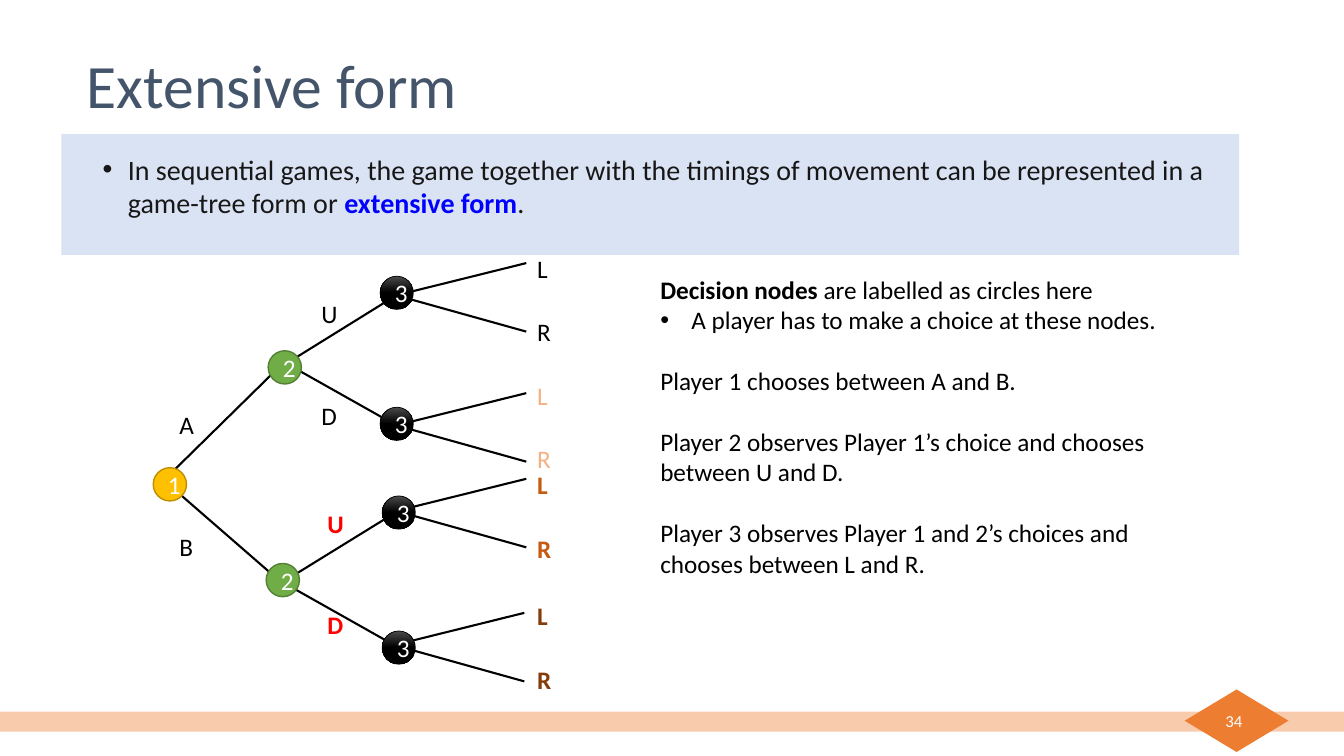
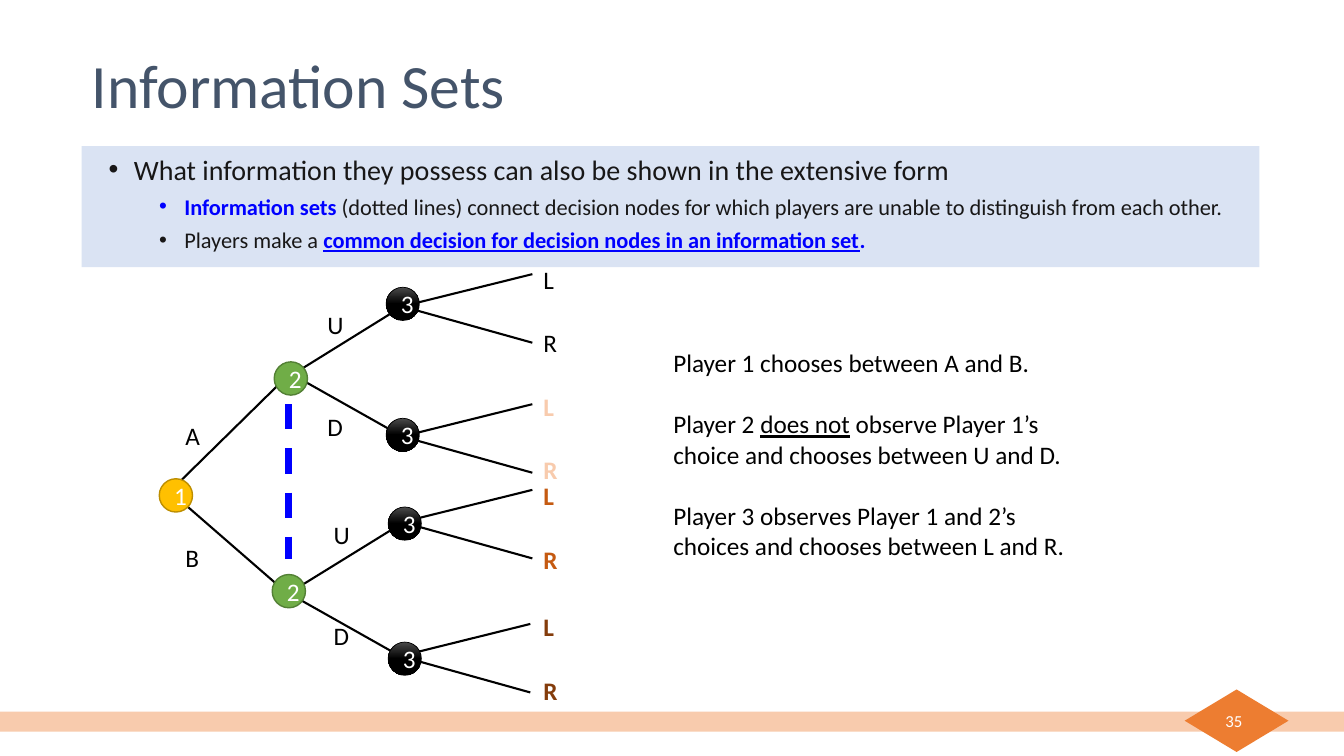
from dataclasses import dataclass

from lxml import etree
from pptx import Presentation
from pptx.dml.color import RGBColor
from pptx.enum.dml import MSO_LINE
from pptx.enum.shapes import MSO_CONNECTOR, MSO_SHAPE
from pptx.enum.text import MSO_ANCHOR, PP_ALIGN
from pptx.oxml.ns import qn
from pptx.util import Pt

RECTANGLE, DIAMOND, CIRCLE = MSO_SHAPE.RECTANGLE, MSO_SHAPE.DIAMOND, MSO_SHAPE.OVAL
STRAIGHT, DASH = MSO_CONNECTOR.STRAIGHT, MSO_LINE.DASH
MIDDLE, CENTER, RIGHT = MSO_ANCHOR.MIDDLE, PP_ALIGN.CENTER, PP_ALIGN.RIGHT

PX = 9144  # 100 px to the inch


@dataclass(frozen=True)
class Theme:
    font: str = "Calibri"
    title: str = "44546A"
    body: str = "181717"
    black: str = "000000"
    white: str = "FFFFFF"
    panel: str = "DAE3F3"
    band: str = "F8CBAD"
    badge: str = "ED7D31"
    key: str = "0000FF"
    highlight: str = "FF0000"
    gold: str = "FFC000"
    gold_edge: str = "BD8E00"
    green: str = "70AD47"
    green_edge: str = "538035"
    gloss: str = "4B4B4B"
    leaf_pale: str = "F4B183"
    leaf_mid: str = "C55A11"
    leaf_dark: str = "843C0B"
    title_size: int = 44
    lead_size: int = 20
    text_size: int = 18
    detail_size: int = 16
    page_size: int = 12
    blank_line: int = 22


THEME = Theme()


@dataclass(frozen=True)
class Span:
    text: str
    color: str | None = None
    bold: bool | None = None
    underline: bool | None = None


@dataclass(frozen=True)
class Line:
    """One paragraph; margin is the text indent in px, hang the bullet's."""
    spans: tuple
    size: int = THEME.text_size
    color: str = THEME.black
    before: int = 0
    margin: int = 0
    hang: int = 0


@dataclass(frozen=True)
class Ink:
    color: str = THEME.black
    bold: bool = False


PLAIN = Ink()

# Tree geometry in px, before it is shifted on a slide
NODE_SIZE = 33
ROOT = (152, 464)
SECOND_NODES = [(266, 348), (264, 559)]
THIRD_NODES = [(377, 274), (377, 404), (379, 492), (379, 626)]
FIRST_MOVES = [((162, 477), (277, 364)), ((162, 476), (277, 576))]
SECOND_MOVES = [((277, 365), (393, 293)), ((283, 360), (393, 422)),
                ((278, 579), (393, 508)), ((281, 578), (391, 640))]
THIRD_STARTS = [(393, 293), (393, 422), (393, 507), (391, 640)]
LEAF_REACH, LEAF_RISE, LEAF_DROP = 129, -32, 36
FIRST_LABELS = [("A", 168, 401), ("B", 168, 522)]
SECOND_LABELS = [("U", 309, 291), ("D", 309, 392), ("U", 315, 499), ("D", 315, 600)]
LEAF_LEFT, LEAF_TOPS, LEAF_GAP = 523, [246, 372, 461, 591], 63


def rgb(color):
    return RGBColor.from_string(color)


def style_font(paragraph, size, color):
    font = paragraph.font
    font.name, font.size = THEME.font, Pt(size)
    font.color.rgb = rgb(color)


def add_bullet(paragraph, margin, hang):
    properties = paragraph._p.get_or_add_pPr()
    properties.set("marL", str(margin * PX))
    properties.set("indent", str(-hang * PX))
    etree.SubElement(properties, qn("a:buFont")).set("typeface", "Arial")
    etree.SubElement(properties, qn("a:buChar")).set("char", "•")


def fill_paragraph(paragraph, line):
    if line.before:
        paragraph.space_before = Pt(line.before)
    if line.hang:
        add_bullet(paragraph, line.margin, line.hang)
    style_font(paragraph, line.size, line.color)
    for span in line.spans:
        run = paragraph.add_run()
        run.text = span.text
        run.font.bold, run.font.underline = span.bold, span.underline
        if span.color:
            run.font.color.rgb = rgb(span.color)


def add_text(slide, left, top, width, height, lines):
    box = slide.shapes.add_textbox(left * PX, top * PX, width * PX, height * PX)
    frame = box.text_frame
    frame.word_wrap = True
    for index, line in enumerate(lines):
        paragraph = frame.add_paragraph() if index else frame.paragraphs[0]
        fill_paragraph(paragraph, line)
    return frame


def add_block(slide, kind, left, top, width, height, color):
    block = slide.shapes.add_shape(kind, left * PX, top * PX, width * PX, height * PX)
    block.shadow.inherit = False
    block.fill.solid()
    block.fill.fore_color.rgb = rgb(color)
    block.line.fill.background()
    return block


def add_line(slide, start, end, color=THEME.black, weight=1.5):
    line = slide.shapes.add_connector(STRAIGHT, *(v * PX for v in (*start, *end)))
    line.line.color.rgb = rgb(color)
    line.line.width = Pt(weight)
    etree.SubElement(line._element.spPr, qn("a:effectLst"))
    return line


def add_node(slide, place, player, color, edge, weight=1.0):
    node = add_block(slide, CIRCLE, *place, NODE_SIZE, NODE_SIZE, color)
    node.line.color.rgb = rgb(edge)
    node.line.width = Pt(weight)
    paragraph = node.text_frame.paragraphs[0]
    paragraph.alignment = CENTER
    fill_paragraph(paragraph, Line((Span(player),), color=THEME.white))
    return node


def add_glossy_node(slide, place, player):
    node = add_node(slide, place, player, THEME.black, THEME.black, 0.5)
    node.fill.gradient()
    node.fill.gradient_angle = 270
    stops = zip(node.fill.gradient_stops, (0, 0.5), (THEME.gloss, THEME.black))
    for stop, position, color in stops:
        stop.position = position
        stop.color.rgb = rgb(color)


def add_label(slide, text, place, ink):
    add_text(slide, *place, 40, 40, [Line((Span(text, bold=ink.bold),), color=ink.color)])


def add_tree(slide, shift, lower_move, second_leaf):
    """Draw the three-player game tree, moved by shift from its base place."""
    def at(point):
        return point[0] + shift[0], point[1] + shift[1]

    for start, end in FIRST_MOVES + SECOND_MOVES:
        add_line(slide, at(start), at(end))
    for x, y in THIRD_STARTS:
        for step in (LEAF_RISE, LEAF_DROP):
            add_line(slide, at((x, y)), at((x + LEAF_REACH, y + step)))

    add_node(slide, at(ROOT), "1", THEME.gold, THEME.gold_edge)
    for place in SECOND_NODES:
        add_node(slide, at(place), "2", THEME.green, THEME.green_edge)
    for place in THIRD_NODES:
        add_glossy_node(slide, at(place), "3")

    move_inks = [PLAIN] * 4 + [lower_move] * 2
    for (text, *place), ink in zip(FIRST_LABELS + SECOND_LABELS, move_inks):
        add_label(slide, text, at(place), ink)
    leaf_inks = [PLAIN, second_leaf, Ink(THEME.leaf_mid, True), Ink(THEME.leaf_dark, True)]
    for top, ink in zip(LEAF_TOPS, leaf_inks):
        add_label(slide, "L", at((LEAF_LEFT, top)), ink)
        add_label(slide, "R", at((LEAF_LEFT, top + LEAF_GAP)), ink)


def add_slide(deck, title, title_left, page, panel, summary_left, summary):
    """Add a slide with footer, title and the summary on its tinted panel."""
    slide = deck.slides.add_slide(deck.slide_layouts[6])
    add_block(slide, RECTANGLE, 0, 706, 1333, 20, THEME.band)
    add_block(slide, DIAMOND, 1175, 684, 103, 62, THEME.badge)
    add_block(slide, RECTANGLE, *panel, 1168, 120, THEME.panel)

    heading = add_text(slide, title_left, 15, 1150, 145,
                       [Line((Span(title),), THEME.title_size, THEME.title)])
    heading.vertical_anchor = MIDDLE
    heading.paragraphs[0].line_spacing = 0.9
    number = add_text(slide, 942, 695, 300, 40,
                      [Line((Span(page),), THEME.page_size, THEME.white)])
    number.vertical_anchor = MIDDLE
    number.paragraphs[0].alignment = RIGHT
    add_text(slide, summary_left, 146, 1134, 123, summary)
    return slide


def lead(*spans):
    return Line(spans, THEME.lead_size, THEME.body, margin=25, hang=25)


def detail(*spans):
    return Line(spans, THEME.detail_size, THEME.body, before=5, margin=75, hang=25)


def spaced(*spans):
    return Line(spans, before=THEME.blank_line)


def build_extensive_form(deck):
    summary = [lead(
        Span("In sequential games, the game together with the timings of movement "
             "can be represented in a game-tree form or "),
        Span("extensive form", THEME.key, True), Span("."))]
    slide = add_slide(deck, "Extensive form", 76, "34", (61, 133), 92, summary)
    add_tree(slide, (0, 0), Ink(THEME.highlight, True), Ink(THEME.leaf_pale))
    add_text(slide, 645, 267, 549, 313, [
        Line((Span("Decision nodes ", bold=True), Span("are labelled as circles here"))),
        Line((Span("A player has to make a choice at these nodes."),), margin=31, hang=31),
        spaced(Span("Player 1 chooses between A and B.")),
        spaced(Span("Player 2 observes Player 1’s choice and chooses between U and D.")),
        spaced(Span("Player 3 observes Player 1 and 2’s choices and chooses between L and R.")),
    ])


def build_information_sets(deck):
    summary = [
        lead(Span("What information they possess can also be shown in the extensive form")),
        detail(Span("Information sets ", THEME.key, True),
               Span("(dotted lines) connect decision nodes for which players are "
                    "unable to distinguish from each other.")),
        detail(Span("Players make a "),
               Span("common decision for decision nodes in an information set",
                    THEME.key, True, True),
               Span(".", THEME.key, True)),
    ]
    slide = add_slide(deck, "Information Sets", 81, "35", (81, 145), 98, summary)
    add_tree(slide, (6, 11), PLAIN, Ink(THEME.band, True))
    add_text(slide, 658, 340, 416, 222, [
        Line((Span("Player 1 chooses between A and B."),)),
        spaced(Span("Player 2 "), Span("does not", underline=True),
               Span(" observe Player 1’s choice and chooses between U and D.")),
        spaced(Span("Player 3 observes Player 1 and 2’s choices and chooses between L and R.")),
    ])
    information_set = add_line(slide, (286, 401), (286, 555), THEME.key, 4.5)
    information_set.line.dash_style = DASH


def main():
    deck = Presentation()
    deck.slide_width, deck.slide_height = 1333 * PX, 750 * PX
    build_extensive_form(deck)
    build_information_sets(deck)
    deck.save("out.pptx")


if __name__ == "__main__":
    main()
